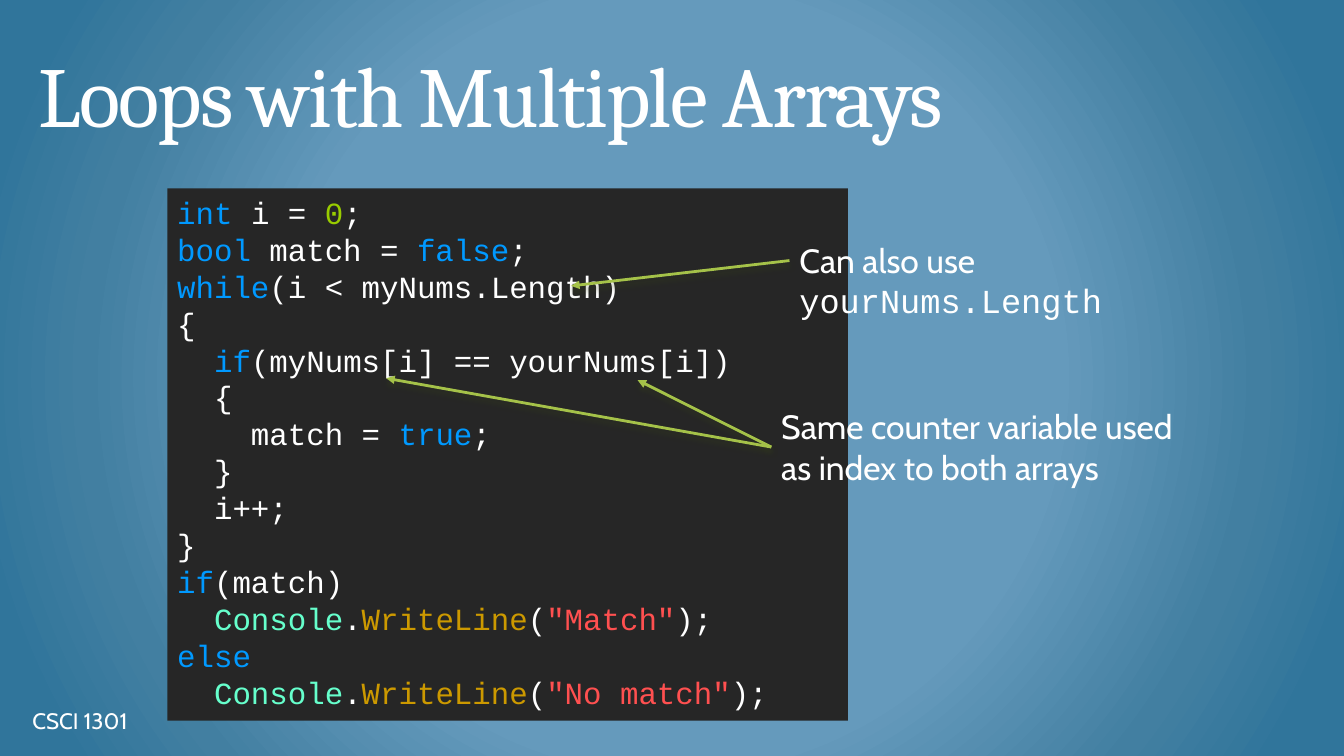
from lxml.etree import SubElement
from pptx import Presentation
from pptx.dml.color import RGBColor
from pptx.enum.shapes import MSO_CONNECTOR, MSO_SHAPE
from pptx.enum.text import MSO_ANCHOR, PP_ALIGN
from pptx.oxml.ns import qn
from pptx.util import Inches, Pt

WHITE = RGBColor(0xFF, 0xFF, 0xFF)
PANEL = RGBColor(0x26, 0x26, 0x26)
KEYWORD = RGBColor(0x00, 0x99, 0xFF)
NUMBER = RGBColor(0x99, 0xCC, 0x00)
TYPE = RGBColor(0x66, 0xFF, 0xCC)
METHOD = RGBColor(0xCC, 0x99, 0x00)
STRING = RGBColor(0xFF, 0x50, 0x50)
ARROW = RGBColor(0xA5, 0xC2, 0x49)
ARROW_SHADOW = RGBColor(0x3A, 0x45, 0x19)
BACKGROUND_STOPS = [
    (50, RGBColor(0x65, 0x9A, 0xBC)),
    (76, RGBColor(0x42, 0x7F, 0xA1)),
    (92, RGBColor(0x30, 0x75, 0x9B)),
]

HEADING_FONT, BODY_FONT, CODE_FONT = "Cambria", "Cabin", "Courier New"
WIDTH, HEIGHT = Inches(13.33), Inches(7.5)
CODE_SIZE, CODE_PITCH = 22, 26.4
CELL_WIDTH, CELL_HEIGHT = Pt(CODE_SIZE * 0.6), Pt(CODE_PITCH)
CODE_INSET = (0.1, 0.05, 0.1, 0.05)


def write_line(message):
    return [("  Console", TYPE), (".", WHITE), ("WriteLine", METHOD),
            ("(", WHITE), (message, STRING), (");", WHITE)]


CODE = [
    [("int ", KEYWORD), ("i = ", WHITE), ("0", NUMBER), (";", WHITE)],
    [("bool ", KEYWORD), ("match = ", WHITE), ("false", KEYWORD), (";", WHITE)],
    [("while", KEYWORD), ("(i < myNums.Length)", WHITE)],
    [("{", WHITE)],
    [("  ", WHITE), ("if", KEYWORD), ("(myNums[i] == yourNums[i])", WHITE)],
    [("  {", WHITE)],
    [("    match = ", WHITE), ("true", KEYWORD), (";", WHITE)],
    [("  }", WHITE)],
    [("  i++;", WHITE)],
    [("}", WHITE)],
    [("if", KEYWORD), ("(match)", WHITE)],
    write_line('"Match"'),
    [("else", KEYWORD)],
    write_line('"No match"'),
]


def percent_box(left, top, width, height):
    return [int(share * side / 100) for share, side in
            zip((left, top, width, height), (WIDTH, HEIGHT, WIDTH, HEIGHT))]


def set_frame(frame, insets, anchor):
    frame.word_wrap = True
    frame.vertical_anchor = anchor
    (frame.margin_left, frame.margin_top,
     frame.margin_right, frame.margin_bottom) = map(Inches, insets)


def add_span(para, text, font, size, color=WHITE):
    span = para.add_run()
    span.text = text
    span.font.name, span.font.size = font, Pt(size)
    span.font.color.rgb = color
    return span


def add_label(page, box, spans, insets=CODE_INSET, anchor=MSO_ANCHOR.TOP):
    label = page.shapes.add_textbox(*box)
    set_frame(label.text_frame, insets, anchor)
    para = label.text_frame.paragraphs[0]
    for span in spans:
        add_span(para, *span)
    return label


def paint_background(page):
    page.background.fill.gradient()
    gradient = page.element.find(".//" + qn("a:gradFill"))
    for child in list(gradient):
        gradient.remove(child)
    stops = SubElement(gradient, qn("a:gsLst"))
    for position, color in BACKGROUND_STOPS:
        stop = SubElement(stops, qn("a:gs"), pos=str(position * 1000))
        SubElement(stop, qn("a:srgbClr"), val=str(color))
    circle = SubElement(gradient, qn("a:path"), path="circle")
    SubElement(circle, qn("a:fillToRect"), l="50000", t="50000", r="50000", b="50000")


def add_title(page, box, text):
    title = add_label(page, box, [(text, HEADING_FONT, 61)],
                      (0.13, 0.07, 0.13, 0.07), MSO_ANCHOR.BOTTOM)
    para = title.text_frame.paragraphs[0]
    para.line_spacing = Pt(77.3)
    para.runs[0].font._element.set("spc", "-130")


def add_code(page, box):
    panel = page.shapes.add_shape(MSO_SHAPE.RECTANGLE, *box)
    panel.shadow.inherit = False
    panel.fill.solid()
    panel.fill.fore_color.rgb = PANEL
    panel.line.fill.background()
    frame = panel.text_frame
    set_frame(frame, CODE_INSET, MSO_ANCHOR.TOP)
    for row, line in enumerate(CODE):
        para = frame.add_paragraph() if row else frame.paragraphs[0]
        para.alignment = PP_ALIGN.LEFT
        para.line_spacing = CELL_HEIGHT
        for text, color in line:
            add_span(para, text, CODE_FONT, CODE_SIZE, color)
    return panel


def add_arrow(page, label, panel, column, row):
    end_x = int(panel.left + Inches(CODE_INSET[0]) + column * CELL_WIDTH)
    end_y = int(panel.top + Inches(CODE_INSET[1]) + row * CELL_HEIGHT)
    arrow = page.shapes.add_connector(
        MSO_CONNECTOR.STRAIGHT, label.left, label.top + label.height // 2, end_x, end_y)
    arrow.begin_connect(label, 1)
    arrow.line.color.rgb = ARROW
    arrow.line.width = Pt(2)
    properties = arrow._element.spPr
    SubElement(properties.find(qn("a:ln")), qn("a:tailEnd"), type="triangle")
    effects = SubElement(properties, qn("a:effectLst"))
    shadow = SubElement(effects, qn("a:outerShdw"), blurRad=str(Pt(4.5)),
                        dist=str(Pt(3)), dir="5400000", rotWithShape="0")
    color = SubElement(shadow, qn("a:srgbClr"), val=str(ARROW_SHADOW))
    SubElement(color, qn("a:alpha"), val="48000")


def add_callout(page, box, spans, panel, targets):
    label = add_label(page, box, spans)
    for column, row in targets:
        add_arrow(page, label, panel, column, row)


def build_slide(page):
    paint_background(page)
    add_title(page, percent_box(1.88, 3.33, 96.25, 16.67), "Loops with Multiple Arrays")
    add_label(page, percent_box(1.88, 92.67, 31.13, 5.33),
              [("CSCI 1301", BODY_FONT, 16)], (0.07, 0.07, 0.13, 0.07), MSO_ANCHOR.MIDDLE)
    panel = add_code(page, percent_box(12.45, 24.93, 50.64, 70.4))
    add_callout(page, percent_box(58.74, 31.07, 36.08, 6.8),
                [("Can also use ", BODY_FONT, 24), ("yourNums.Length", CODE_FONT, 24)],
                panel, [(21.3, 2.5)])
    add_callout(page, percent_box(57.39, 53.07, 33.16, 12.13),
                [("Same counter variable used as index to both arrays", BODY_FONT, 24)],
                panel, [(24.9, 5.05), (11.3, 5)])


def main():
    deck = Presentation()
    deck.slide_width, deck.slide_height = WIDTH, HEIGHT
    build_slide(deck.slides.add_slide(deck.slide_layouts[6]))
    deck.save("out.pptx")


if __name__ == "__main__":
    main()
